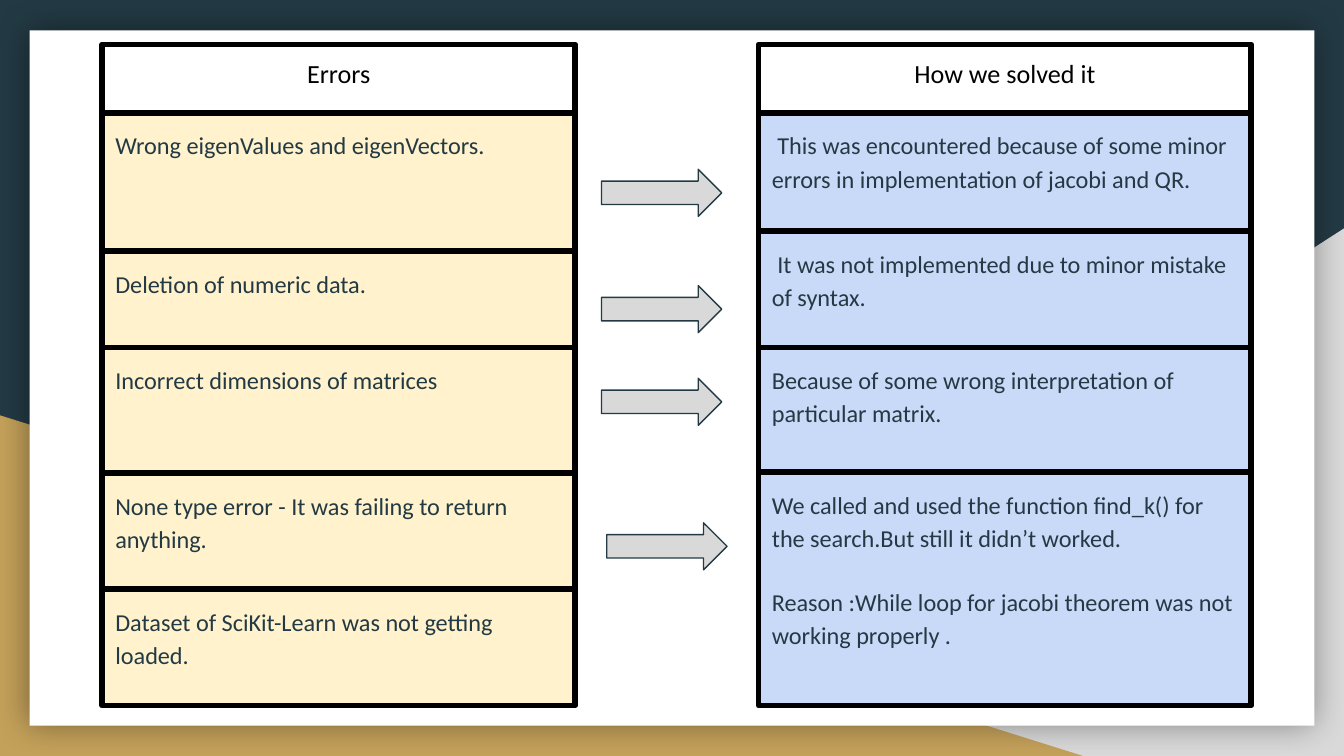
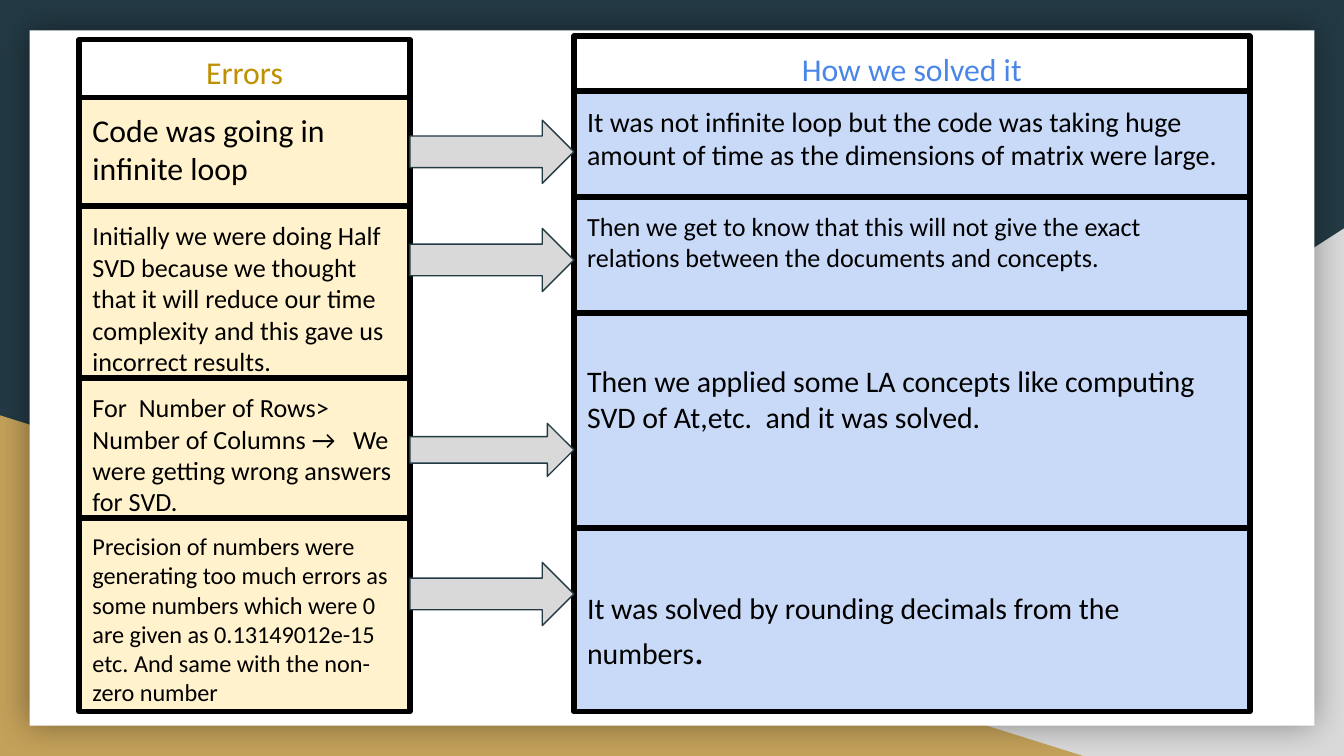
from itertools import pairwise

from lxml import etree
from pptx import Presentation
from pptx import util as u
from pptx.dml.color import RGBColor
from pptx.enum import shapes, text
from pptx.oxml import parse_xml
from pptx.oxml.ns import nsdecls, qn

PX = 4572  # 200 px to the inch
WIDTH, HEIGHT = 2000, 1125
MARGIN = 20
FONT = "Calibri"
COLORS = {
    "navy": "233A44",
    "grey": "D9D9D9",
    "gold": "C4A15A",
    "white": "FFFFFF",
    "black": "000000",
    "cream": "FFF2CC",
    "sky": "C9DAF8",
    "ochre": "BF9000",
    "blue": "4A86E8",
}
SHADOW = (
    f'<a:effectLst {nsdecls("a")}><a:outerShdw blurRad="228600" dist="0" dir="0" '
    'algn="ctr" rotWithShape="0"><a:srgbClr val="000000"><a:alpha val="40000"/>'
    "</a:srgbClr></a:outerShdw></a:effectLst>"
)


def rgb(name):
    return RGBColor.from_string(COLORS[name])


def format_run(r, size, color):
    r.font.name = FONT
    r.font.size = u.Pt(size)
    r.font.color.rgb = rgb(color)


def add_box(s, kind, box, fill=None, line=None, weight=0.75):
    sp = s.shapes.add_shape(kind, *(v * PX for v in box))
    sp.shadow.inherit = False
    if fill:
        sp.fill.solid()
        sp.fill.fore_color.rgb = rgb(fill)
    else:
        sp.fill.background()
    if line:
        sp.line.color.rgb = rgb(line)
        sp.line.width = u.Pt(weight)
    else:
        sp.line.fill.background()
    return sp


def add_base(prs):
    """Add a slide with the coloured corners and the white panel."""
    s = prs.slides.add_slide(prs.slide_layouts[6])
    s.background.fill.solid()
    s.background.fill.fore_color.rgb = rgb("navy")
    triangle = shapes.MSO_SHAPE.RIGHT_TRIANGLE
    corner = add_box(s, triangle, (784, 340, 1216, 785), "grey")
    corner._element.spPr.find(qn("a:xfrm")).set("flipH", "1")
    add_box(s, triangle, (0, 618, 1612, 507), "gold")
    panel = add_box(s, shapes.MSO_SHAPE.RECTANGLE, (44, 45, 1912, 1035), "white")
    spPr = panel._element.spPr
    spPr.replace(spPr.find(qn("a:effectLst")), parse_xml(SHADOW))
    return s


def add_cell(s, box, paragraphs, size, color, fill=None, spacing=None,
             align=text.PP_ALIGN.LEFT, inset=MARGIN):
    """Add a bordered cell; inset is the space above its text."""
    sp = add_box(s, shapes.MSO_SHAPE.RECTANGLE, box, fill, "black", 3)
    etree.SubElement(sp.line._get_or_add_ln(), qn("a:round"))
    tf = sp.text_frame
    tf.word_wrap = True
    tf.vertical_anchor = text.MSO_ANCHOR.TOP
    tf.margin_left = tf.margin_right = tf.margin_bottom = MARGIN * PX
    tf.margin_top = inset * PX
    tf.text = "\n".join(paragraphs)
    for i, p in enumerate(tf.paragraphs):
        p.alignment = align
        if spacing:
            p.line_spacing = spacing
        if i:
            p.space_before = u.Pt(16)
        for r in p.runs:
            format_run(r, size, color)
    return sp


def add_column(s, left, width, edges, header, rows, fill, color, spacing=None):
    """Stack a header and rows between edges; return the row cells.

    header is (text, size, color); each row is (paragraphs, size[, inset]).
    """
    spans = [(left, top, width, bottom - top) for top, bottom in pairwise(edges)]
    title, size, title_color = header
    add_cell(s, spans[0], [title], size, title_color, align=text.PP_ALIGN.CENTER)
    cells = []
    for box, (paragraphs, size, *inset) in zip(spans[1:], rows):
        cells.append(add_cell(s, box, paragraphs, size, color, fill, spacing,
                              inset=inset[0] if inset else MARGIN))
    return cells


def add_arrows(s, boxes):
    for box in boxes:
        add_box(s, shapes.MSO_SHAPE.RIGHT_ARROW, box, "grey", "navy")


def build_first(prs):
    s = add_base(prs)
    errors = [
        "Wrong eigenValues and eigenVectors.",
        "Deletion of numeric data.",
        "Incorrect dimensions of matrices",
        "None type error - It was failing to return anything.",
        "Dataset of SciKit-Learn was not getting loaded.",
    ]
    fixes = [
        [" This was encountered because of some minor errors in implementation "
         "of jacobi and QR."],
        [" It was not implemented due to minor mistake of syntax."],
        ["Because of some wrong interpretation of particular matrix."],
        ["We called and used the function find_k() for the search.But still it "
         "didn’t worked.",
         "Reason :While loop for jacobi theorem was not working properly ."],
    ]
    add_column(s, 152, 704, (66, 168, 374, 517, 704, 877, 1050),
               ("Errors", 14, "black"), [([e], 13) for e in errors],
               "cream", "navy", 1.15)
    add_column(s, 1129, 733, (66, 168, 344, 517, 703, 1050),
               ("How we solved it", 14, "black"), [(f, 13) for f in fixes],
               "sky", "navy", 1.15)
    add_arrows(s, [(left, top, 179, 70) for left, top in
                   ((895, 252), (895, 425), (895, 563), (903, 778))])


def build_second(prs):
    s = add_base(prs)
    errors = [
        (["Code was going in infinite loop"], 17),
        (["Initially we were doing Half SVD because we thought that it will "
          "reduce our time complexity and this gave us incorrect results."], 14),
        (["For  Number of Rows> Number of Columns →   We were getting wrong "
          "answers for SVD."], 14),
        (["Precision of numbers were generating too much errors as some numbers "
          "which were 0 are given as 0.13149012e-15 etc. And same with the "
          "non-zero number"], 13),
    ]
    fixes = [
        (["It was not infinite loop but the code was taking huge amount of time "
          "as the dimensions of matrix were large."], 15),
        (["Then we get to know that this will not give the exact relations "
          "between the documents and concepts."], 14),
        (["Then we applied some LA concepts like computing SVD of At,etc.  and "
          "it was solved."], 16, 74),
        (["It was solved by rounding decimals from the numbers"], 16, 92),
    ]
    add_column(s, 118, 492, (59, 145, 307, 563, 771, 1059),
               ("Errors", 17, "ochre"), errors, "cream", "black")
    cells = add_column(s, 854, 1006, (54, 135, 293, 466, 786, 1059),
                       ("How we solved it", 17, "blue"), fixes, "sky", "black")
    r = cells[-1].text_frame.paragraphs[0].add_run()
    r.text = "."
    format_run(r, 21, "black")
    add_arrows(s, [(610, top, 244, height) for top, height in
                   ((179, 94), (340, 94), (630, 79), (837, 94))])


def main():
    prs = Presentation()
    prs.slide_width = WIDTH * PX
    prs.slide_height = HEIGHT * PX
    build_first(prs)
    build_second(prs)
    prs.save("out.pptx")


if __name__ == "__main__":
    main()
